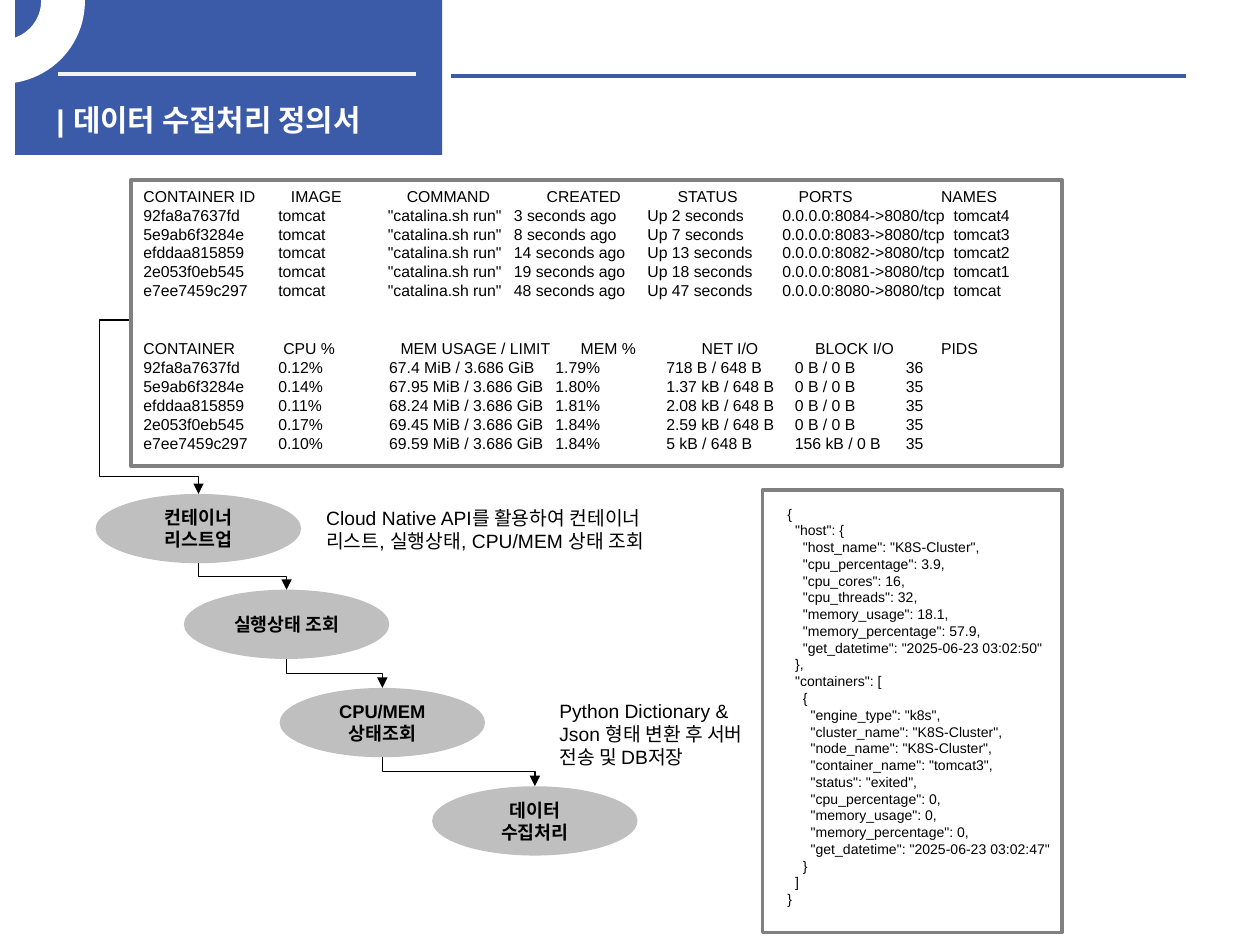
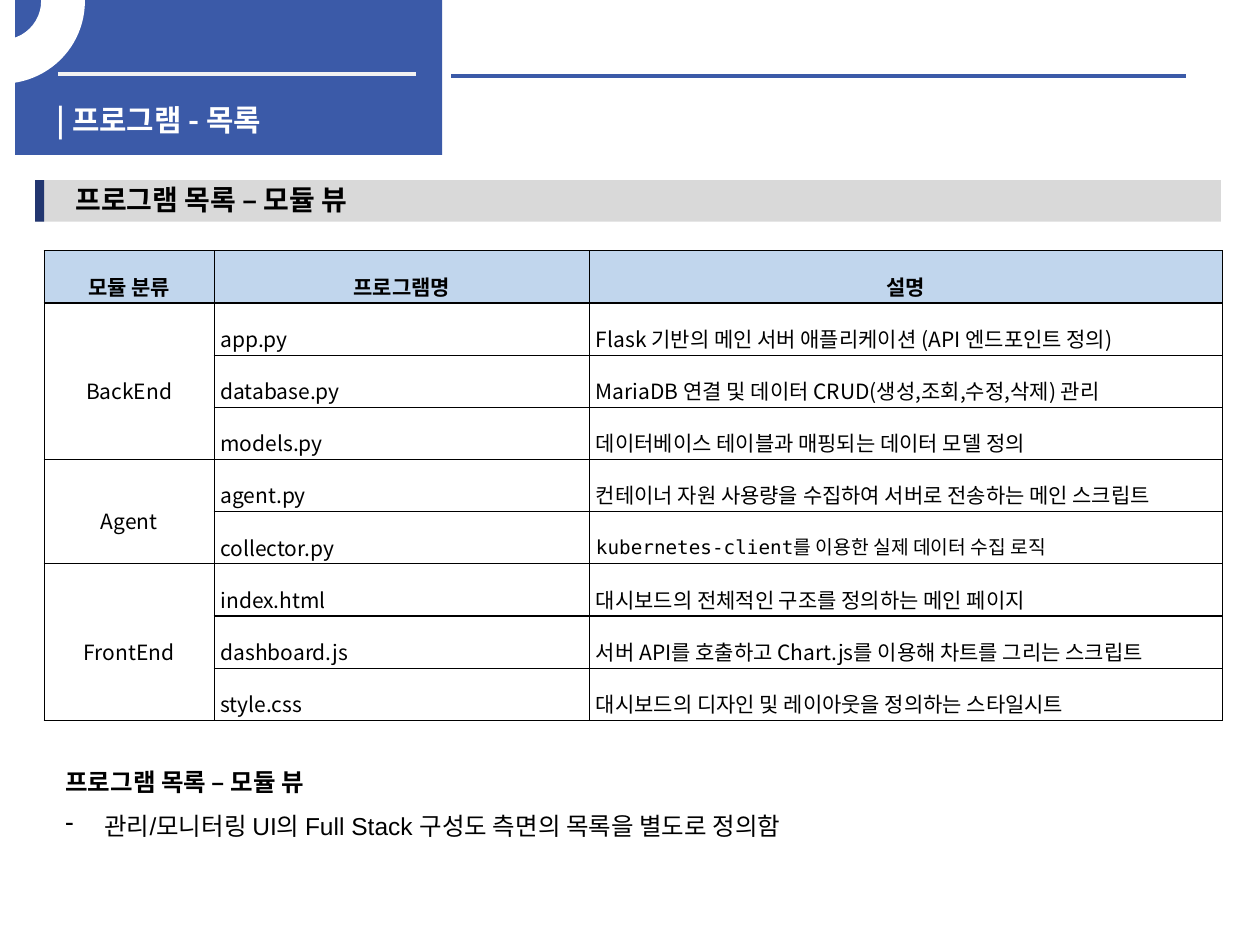
from itertools import pairwise

from lxml import etree
from pptx import Presentation, util as u
from pptx.dml.color import RGBColor
from pptx.enum import shapes, text
from pptx.oxml.ns import qn

BLUE = RGBColor(0x3B, 0x5A, 0xA8)
NAVY = RGBColor(0x22, 0x36, 0x70)
PALE_BLUE = RGBColor(0xC1, 0xD6, 0xED)
SILVER = RGBColor(0xBF, 0xBF, 0xBF)
LIGHT_GRAY = RGBColor(0xD9, 0xD9, 0xD9)
OFF_WHITE = RGBColor(0xF2, 0xF2, 0xF2)
GRAY = RGBColor(0x80, 0x80, 0x80)
WHITE = RGBColor(0xFF, 0xFF, 0xFF)
BLACK = RGBColor(0, 0, 0)
SANS, KOREAN, MONO = "Arial", "Noto Sans CJK KR", "DejaVu Sans Mono"
KIND = shapes.MSO_SHAPE
CENTER, JUSTIFY = text.PP_ALIGN.CENTER, text.PP_ALIGN.JUSTIFY
MIDDLE = text.MSO_ANCHOR.MIDDLE
WIDTH, HEIGHT = 10, 7.5

COLLECTION_TITLE = "| 데이터 수집처리 정의서"
# Each listing: tab stops of the heading, tab stops of the rows, lines of fields
LISTINGS = [
    ((1.17, 2.09, 3.2, 4.24, 5.2, 6.33), (1.07, 1.94, 2.94, 4, 5.07, 6.43), [
        ("CONTAINER ID", "IMAGE", "COMMAND", "CREATED", "STATUS", "PORTS", "NAMES"),
        ("92fa8a7637fd", "tomcat", '"catalina.sh run"', "3 seconds ago",
         "Up 2 seconds", "0.0.0.0:8084->8080/tcp", "tomcat4"),
        ("5e9ab6f3284e", "tomcat", '"catalina.sh run"', "8 seconds ago",
         "Up 7 seconds", "0.0.0.0:8083->8080/tcp", "tomcat3"),
        ("efddaa815859", "tomcat", '"catalina.sh run"', "14 seconds ago",
         "Up 13 seconds", "0.0.0.0:8082->8080/tcp", "tomcat2"),
        ("2e053f0eb545", "tomcat", '"catalina.sh run"', "19 seconds ago",
         "Up 18 seconds", "0.0.0.0:8081->8080/tcp", "tomcat1"),
        ("e7ee7459c297", "tomcat", '"catalina.sh run"', "48 seconds ago",
         "Up 47 seconds", "0.0.0.0:8080->8080/tcp", "tomcat"),
    ]),
    ((1.11, 2.04, 3.47, 4.43, 5.33, 6.33), (1.07, 1.95, 3.27, 4.15, 5.17, 6.05), [
        ("CONTAINER", "CPU %", "MEM USAGE / LIMIT", "MEM %", "NET I/O", "BLOCK I/O", "PIDS"),
        ("92fa8a7637fd", "0.12%", "67.4 MiB / 3.686 GiB", "1.79%",
         "718 B / 648 B", "0 B / 0 B", "36"),
        ("5e9ab6f3284e", "0.14%", "67.95 MiB / 3.686 GiB", "1.80%",
         "1.37 kB / 648 B", "0 B / 0 B", "35"),
        ("efddaa815859", "0.11%", "68.24 MiB / 3.686 GiB", "1.81%",
         "2.08 kB / 648 B", "0 B / 0 B", "35"),
        ("2e053f0eb545", "0.17%", "69.45 MiB / 3.686 GiB", "1.84%",
         "2.59 kB / 648 B", "0 B / 0 B", "35"),
        ("e7ee7459c297", "0.10%", "69.59 MiB / 3.686 GiB", "1.84%",
         "5 kB / 648 B", "156 kB / 0 B", "35"),
    ]),
]
STEP_SIZE = (1.63, 0.55)
STEPS = [  # label, left, top
    ("컨테이너 리스트업", 0.76, 3.92),
    ("실행상태 조회", 1.46, 4.68),
    ("CPU/MEM상태조회", 2.22, 5.46),
    ("데이터 수집처리", 3.43, 6.24),
]
STEP_NOTES = [
    ("Cloud Native API를 활용하여 컨테이너 리스트, 실행상태, CPU/MEM 상태 조회",
     (2.49, 3.97, 3.07, 0.66)),
    ("Python Dictionary & Json 형태 변환 후 서버 전송 및 DB저장", (4.34, 5.5, 1.68, 0.66)),
]
JSON_SAMPLE = """{
  "host": {
    "host_name": "K8S-Cluster",
    "cpu_percentage": 3.9,
    "cpu_cores": 16,
    "cpu_threads": 32,
    "memory_usage": 18.1,
    "memory_percentage": 57.9,
    "get_datetime": "2025-06-23 03:02:50"
  },
  "containers": [
    {
      "engine_type": "k8s",
      "cluster_name": "K8S-Cluster",
      "node_name": "K8S-Cluster",
      "container_name": "tomcat3",
      "status": "exited",
      "cpu_percentage": 0,
      "memory_usage": 0,
      "memory_percentage": 0,
      "get_datetime": "2025-06-23 03:02:47"
    }
  ]
}"""

PROGRAM_TITLE = "| 프로그램 - 목록"
MODULE_VIEW = "프로그램 목록 – 모듈 뷰"
MODULE_NOTE = "관리/모니터링 UI의 Full Stack 구성도 측면의 목록을 별도로 정의함"
MODULE_HEADS = ("모듈 분류", "프로그램명", "설명")
MODULE_COLUMNS = (1.35, 2.98, 5.02)
MODULES = {
    "BackEnd": [
        ("app.py", "Flask 기반의 메인 서버 애플리케이션 (API 엔드포인트 정의)"),
        ("database.py", "MariaDB 연결 및 데이터 CRUD(생성,조회,수정,삭제) 관리"),
        ("models.py", "데이터베이스 테이블과 매핑되는 데이터 모델 정의"),
    ],
    "Agent": [
        ("agent.py", "컨테이너 자원 사용량을 수집하여 서버로 전송하는 메인 스크립트"),
        ("collector.py", [("kubernetes-client", MONO, 11),
                          ("를 이용한 실제 데이터 수집 로직", SANS, 11)]),
    ],
    "FrontEnd": [
        ("index.html", "대시보드의 전체적인 구조를 정의하는 메인 페이지"),
        ("dashboard.js", "서버 API를 호출하고 Chart.js를 이용해 차트를 그리는 스크립트"),
        ("style.css", "대시보드의 디자인 및 레이아웃을 정의하는 스타일시트"),
    ],
}


def inches(*lengths):
    return [u.Inches(length) for length in lengths]


def child(parent, tag, **attributes):
    return etree.SubElement(parent, qn(tag), {k: str(v) for k, v in attributes.items()})


def write(frame, content, first=True, size=12, font=SANS, color=BLACK, bold=False,
          align=None, spacing=None, before=None, tabs=(), bullet=None, indent=0):
    """Add one paragraph; content is a string or a list of (text, font, size) runs."""
    paragraph = frame.paragraphs[0] if first else frame.add_paragraph()
    properties = paragraph._p.get_or_add_pPr()
    if bullet:
        properties.set("marL", str(u.Inches(indent)))
        properties.set("indent", str(-u.Inches(indent)))
        child(properties, "a:buChar", char=bullet)
    if tabs:
        stops = child(properties, "a:tabLst")
        for stop in tabs:
            child(stops, "a:tab", pos=u.Inches(stop), algn="l")
    if align is not None:
        paragraph.alignment = align
    if spacing:
        paragraph.line_spacing = spacing
    if before:
        paragraph.space_before = u.Pt(before)
    runs = [(content, font, size)] if isinstance(content, str) else content
    for words, face, points in runs:
        run = paragraph.add_run()
        run.text = words
        run.font.name, run.font.size, run.font.bold = face, u.Pt(points), bold
        run.font.color.rgb = color
        child(run.font._element, "a:ea", typeface=KOREAN)


def text_box(slide, area, content=None, inset=None, anchor=None, **style):
    frame = slide.shapes.add_textbox(*inches(*area)).text_frame
    frame.word_wrap = True
    if inset is not None:
        frame.margin_left = frame.margin_right = u.Inches(inset)
        frame.margin_top = frame.margin_bottom = u.Inches(inset)
    if anchor is not None:
        frame.vertical_anchor = anchor
    if content:
        write(frame, content, **style)
    return frame


def draw(slide, kind, area, fill=None, line=None):
    shape = slide.shapes.add_shape(kind, *inches(*area))
    shape.shadow.inherit = False
    if fill is None:
        shape.fill.background()
    else:
        shape.fill.solid()
        shape.fill.fore_color.rgb = fill
    if line is None:
        shape.line.fill.background()
    else:
        shape.line.color.rgb, shape.line.width = line, u.Pt(2)
    return shape


def connect(slide, start, end, color=BLACK, width=0.75, kind=shapes.MSO_CONNECTOR.STRAIGHT):
    connector = slide.shapes.add_connector(kind, *inches(*start, *end))
    connector.line.color.rgb, connector.line.width = color, u.Pt(width)
    child(connector.element.spPr, "a:effectLst")
    return connector


def elbow_arrow(slide, start, end, detour=None):
    """Bent arrow leaving downwards, or sideways through a detour of two adjustments."""
    arrow = connect(slide, start, end, kind=shapes.MSO_CONNECTOR.ELBOW)
    properties = arrow.element.spPr
    child(properties.find(qn("a:ln")), "a:tailEnd", type="triangle")
    if detour:
        geometry = properties.find(qn("a:prstGeom"))
        geometry.set("prst", "bentConnector4")
        for number, share in enumerate(detour, 1):
            child(geometry.find(qn("a:avLst")), "a:gd", name=f"adj{number}",
                  fmla=f"val {round(share * 100000)}")
        return
    across, down = end[0] - start[0], end[1] - start[1]
    middle_x, middle_y = start[0] + across / 2, start[1] + down / 2
    arrow.left, arrow.top, arrow.width, arrow.height = inches(
        middle_x - down / 2, middle_y - across / 2, down, across)
    frame = properties.find(qn("a:xfrm"))
    frame.set("rot", str(270 * 60000))
    frame.set("flipH", "1")


def titled_slide(deck, title, font):
    slide = deck.slides.add_slide(deck.slide_layouts[6])
    draw(slide, KIND.RECTANGLE, (0.12, 0, 3.39, 1.23), BLUE)
    ring = draw(slide, KIND.BLOCK_ARC, (-0.63, -0.63, 1.29, 1.28), WHITE, WHITE)
    for index, value in enumerate((96.95, 0, 0.25)):
        ring.adjustments[index] = value
    ring.rotation = 180
    connect(slide, (0.46, 0.59), (3.3, 0.59), OFF_WHITE, 2.25)
    connect(slide, (3.58, 0.6), (9.41, 0.6), BLUE, 2.25)
    text_box(slide, (0.35, 0.76, 3.07, 0.32), title,
             size=17, font=font, color=WHITE, bold=True)
    return slide


def collection_slide(deck):
    slide = titled_slide(deck, COLLECTION_TITLE, SANS)
    step_width, step_height = STEP_SIZE
    for label, left, top in STEPS:
        step = draw(slide, KIND.OVAL, (left, top, *STEP_SIZE), SILVER)
        step.text_frame.word_wrap = True
        step.text_frame.vertical_anchor = MIDDLE
        write(step.text_frame, label, size=10.5, bold=True, align=CENTER)
    tops = [(left + step_width / 2, top) for _, left, top in STEPS]
    for (x, y), following in pairwise(tops):
        elbow_arrow(slide, (x, y + step_height), following)

    console = text_box(slide, (1.04, 1.43, 8.45, 2.22))
    for part, (head_tabs, row_tabs, lines) in enumerate(LISTINGS):
        for row, fields in enumerate(lines):
            write(console, "\t".join(fields), first=part + row == 0, size=9,
                  tabs=row_tabs if row else head_tabs,
                  before=22 if part and not row else None)
    elbow_arrow(slide, (1.04, 2.54), tops[0], detour=(-0.47, 0.9))
    draw(slide, KIND.RECTANGLE, (1.04, 1.43, 7.39, 2.27), line=GRAY)

    sample = text_box(slide, (6.15, 3.96, 2.45, 3.33))
    for number, line in enumerate(JSON_SAMPLE.split("\n")):
        write(sample, line, first=number == 0, size=8)
    draw(slide, KIND.RECTANGLE, (6.05, 3.89, 2.38, 3.51), line=GRAY)
    for note, area in STEP_NOTES:
        text_box(slide, area, note, size=11)


def fill_cell(cell, content, fill=None, **style):
    cell.margin_left = cell.margin_right = u.Inches(0.05)
    cell.margin_top = cell.margin_bottom = u.Inches(0.01)
    cell.vertical_anchor = MIDDLE
    properties = cell._tc.get_or_add_tcPr()
    for side in "LRTB":
        border = child(properties, f"a:ln{side}", w=u.Pt(0.75))
        child(child(border, "a:solidFill"), "a:srgbClr", val=BLACK)
    if fill is None:
        cell.fill.background()
    else:
        cell.fill.solid()
        cell.fill.fore_color.rgb = fill
    if content:
        write(cell.text_frame, content, font=KOREAN, spacing=1.6, **style)


def module_table(slide):
    rows = [(group if not index else "", *program)
            for group, programs in MODULES.items() for index, program in enumerate(programs)]
    table = slide.shapes.add_table(len(rows) + 1, len(MODULE_HEADS), *inches(
        0.35, 1.99, sum(MODULE_COLUMNS), 3.73)).table
    table.first_row = table.horz_banding = False
    for column, width in zip(table.columns, MODULE_COLUMNS):
        column.width = u.Inches(width)
    for column, head in enumerate(MODULE_HEADS):
        fill_cell(table.cell(0, column), head, PALE_BLUE, bold=True, align=CENTER)
    for row, fields in enumerate(rows, 1):
        for column, content in enumerate(fields):
            fill_cell(table.cell(row, column), content, align=JUSTIFY if column else CENTER)
    top = 1
    for programs in MODULES.values():
        table.cell(top, 0).merge(table.cell(top + len(programs) - 1, 0))
        top += len(programs)


def program_slide(deck):
    slide = titled_slide(deck, PROGRAM_TITLE, KOREAN)
    module_table(slide)
    draw(slide, KIND.RECTANGLE, (0.28, 1.43, 9.41, 0.33), LIGHT_GRAY)
    draw(slide, KIND.RECTANGLE, (0.28, 1.43, 0.07, 0.33), NAVY)
    text_box(slide, (0.6, 1.45, 2.45, 0.27), MODULE_VIEW, inset=0, anchor=MIDDLE,
             size=16, bold=True)
    summary = text_box(slide, (0.42, 5.92, 6.38, 0.76), MODULE_VIEW,
                       size=14, bold=True, spacing=1.5)
    write(summary, MODULE_NOTE, first=False, size=14, spacing=1.5, bullet="-", indent=0.31)


def main():
    deck = Presentation()
    deck.slide_width, deck.slide_height = inches(WIDTH, HEIGHT)
    collection_slide(deck)
    program_slide(deck)
    deck.save("out.pptx")


if __name__ == "__main__":
    main()
